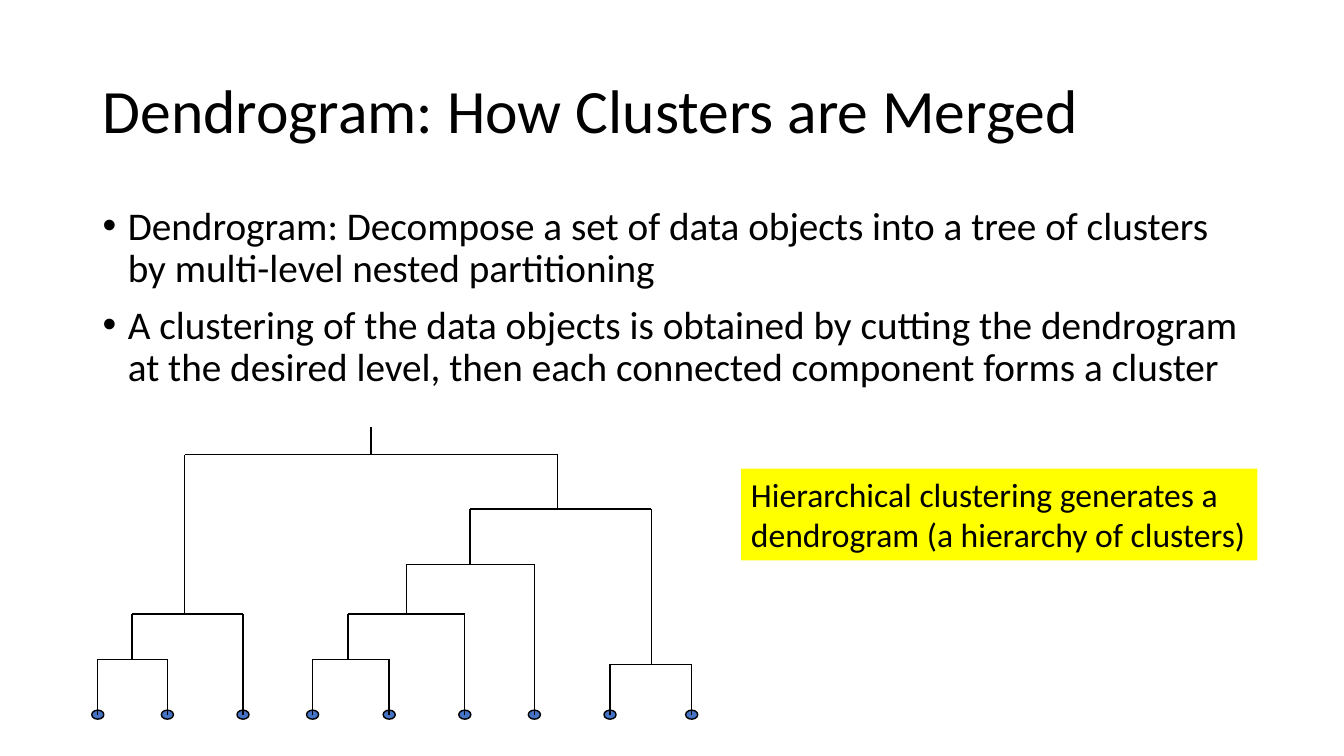
from dataclasses import dataclass

from lxml import etree
from pptx import Presentation
from pptx import util as u
from pptx.dml.color import RGBColor
from pptx.enum import shapes, text
from pptx.oxml import ns


@dataclass(frozen=True)
class Theme:
    font: str = "Calibri"
    ink: RGBColor = RGBColor(0, 0, 0)
    leaf: RGBColor = RGBColor(0x44, 0x72, 0xC4)
    highlight: RGBColor = RGBColor(0xFF, 0xFF, 0)
    title_size: int = 44
    body_size: int = 28
    note_size: int = 24
    line_width: int = 1


@dataclass(frozen=True)
class Box:
    left: float
    top: float
    width: float
    height: float

    def lengths(self):
        return [u.Inches(n) for n in (self.left, self.top, self.width, self.height)]


@dataclass(frozen=True)
class Node:
    x: float
    y: float
    children: tuple = ()


THEME = Theme()
LEAF_WIDTH, LEAF_HEIGHT = 0.12, 0.09
LEAF_LEVEL = 2.85


def leaf(x):
    return Node(x, LEAF_LEVEL)


def merge(x, y, left, right):
    return Node(x, y, (left, right))


def dendrogram_root():
    left_pair = merge(0.4, 2.3, leaf(0.06), leaf(0.75))
    left_branch = merge(0.92, 1.85, left_pair, leaf(1.5))
    middle_pair = merge(2.54, 2.3, leaf(2.19), leaf(2.95))
    middle_three = merge(3.12, 1.85, middle_pair, leaf(3.7))
    middle_four = merge(3.75, 1.36, middle_three, leaf(4.39))
    right_pair = merge(5.55, 2.35, leaf(5.14), leaf(5.95))
    right_branch = merge(4.62, 0.81, middle_four, right_pair)
    return merge(2.77, 0.27, left_branch, right_branch)


def apply_format(target, values):
    for name, value in values.items():
        setattr(target, name, value)


def add_bullet(paragraph):
    properties = paragraph._p.get_or_add_pPr()
    properties.set("marL", str(u.Inches(0.25)))
    properties.set("indent", str(u.Inches(-0.25)))
    etree.SubElement(properties, ns.qn("a:buFont"), typeface="Arial")
    etree.SubElement(properties, ns.qn("a:buChar"), char="•")


def write_text(frame, lines, size, paragraph_format, bulleted=False):
    frame.word_wrap = True
    for index, line in enumerate(lines):
        paragraph = frame.add_paragraph() if index else frame.paragraphs[0]
        apply_format(paragraph, {"alignment": text.PP_ALIGN.LEFT, **paragraph_format})
        if index == 0:
            paragraph.space_before = u.Pt(0)
        if bulleted:
            add_bullet(paragraph)
        run = paragraph.add_run()
        run.text = line
        apply_format(run.font, {"name": THEME.font, "size": u.Pt(size)})
        run.font.color.rgb = THEME.ink


def add_title(slide, box, title):
    frame = slide.shapes.add_textbox(*box.lengths()).text_frame
    frame.vertical_anchor = text.MSO_ANCHOR.MIDDLE
    write_text(frame, [title], THEME.title_size, {"line_spacing": 0.9})


def add_body(slide, box, points):
    frame = slide.shapes.add_textbox(*box.lengths()).text_frame
    spacing = {"line_spacing": 0.9, "space_before": u.Pt(10)}
    write_text(frame, points, THEME.body_size, spacing, bulleted=True)


def add_note(slide, box, note):
    shape = slide.shapes.add_shape(shapes.MSO_SHAPE.RECTANGLE, *box.lengths())
    shape.shadow.inherit = False
    shape.fill.solid()
    shape.fill.fore_color.rgb = THEME.highlight
    shape.line.fill.background()
    shape.text_frame.vertical_anchor = text.MSO_ANCHOR.TOP
    write_text(shape.text_frame, [note], THEME.note_size, {})


def outline(shape):
    shape.line.color.rgb = THEME.ink
    shape.line.width = u.Pt(THEME.line_width)


def add_line(slide, box, start, end):
    ends = [u.Inches(n) for x, y in (start, end) for n in (box.left + x, box.top + y)]
    connector = slide.shapes.add_connector(shapes.MSO_CONNECTOR.STRAIGHT, *ends)
    outline(connector)
    etree.SubElement(connector._element.spPr, ns.qn("a:effectLst"))


def add_leaf(slide, box, node):
    place = Box(box.left + node.x - LEAF_WIDTH / 2, box.top + node.y - LEAF_HEIGHT / 2,
                LEAF_WIDTH, LEAF_HEIGHT)
    shape = slide.shapes.add_shape(shapes.MSO_SHAPE.OVAL, *place.lengths())
    shape.shadow.inherit = False
    shape.fill.solid()
    shape.fill.fore_color.rgb = THEME.leaf
    outline(shape)


def add_branch(slide, box, node, parent_level):
    if not node.children:
        add_leaf(slide, box, node)
    add_line(slide, box, (node.x, parent_level), (node.x, node.y))
    if node.children:
        left, right = node.children
        add_line(slide, box, (left.x, node.y), (right.x, node.y))
    for child in node.children:
        add_branch(slide, box, child, node.y)


def main():
    presentation = Presentation()
    apply_format(presentation, {"slide_width": u.Inches(13.33), "slide_height": u.Inches(7.5)})
    slide = presentation.slides.add_slide(presentation.slide_layouts[6])
    add_title(slide, Box(0.92, 0.4, 11.5, 1.45), "Dendrogram: How Clusters are Merged")
    add_body(slide, Box(0.92, 2, 11.5, 4.76), [
        "Dendrogram: Decompose a set of data objects into a tree of clusters "
        "by multi-level nested partitioning",
        "A clustering of the data objects is obtained by cutting the dendrogram "
        "at the desired level, then each connected component forms a cluster",
    ])
    add_branch(slide, Box(0.91, 4.24, 6.01, 2.89), dendrogram_root(), 0)
    add_note(slide, Box(7.35, 4.65, 5.12, 0.91),
             "Hierarchical clustering generates a dendrogram (a hierarchy of clusters)")
    presentation.save("out.pptx")


if __name__ == "__main__":
    main()
